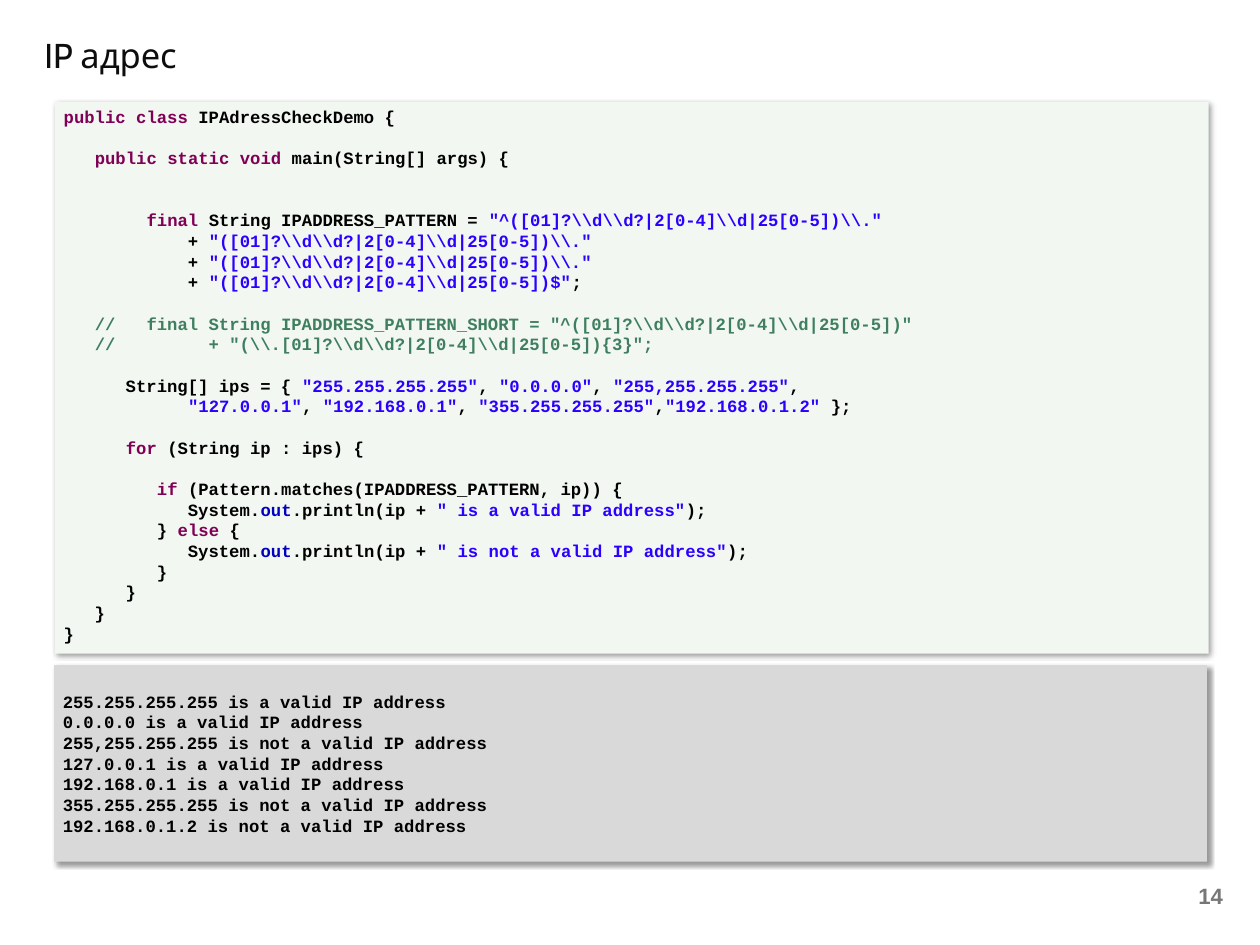
from itertools import groupby

from lxml import etree
from pptx import Presentation
from pptx.dml.color import RGBColor
from pptx.enum.shapes import MSO_SHAPE
from pptx.enum.text import MSO_ANCHOR, PP_ALIGN
from pptx.oxml.ns import qn
from pptx.util import Inches, Pt

RECT = MSO_SHAPE.RECTANGLE
TOP, MIDDLE = MSO_ANCHOR.TOP, MSO_ANCHOR.MIDDLE
LEFT, RIGHT = PP_ALIGN.LEFT, PP_ALIGN.RIGHT
MONO = "Courier New"
COLORS = {
    "title": "0D0D0D", "number": "777777", "plain": "000000",
    "keyword": "7F0055", "string": "2A00FF", "comment": "3F7F5F",
    "field": "0000C0", "code": "F2F7F2", "output": "D9D9D9",
}
WORDS = dict.fromkeys("public class static void final for if else".split(), "keyword")
WORDS["out"] = "field"

CODE = [
    'public class IPAdressCheckDemo {',
    '',
    '   public static void main(String[] args) {',
    '',
    '',
    r'        final String IPADDRESS_PATTERN = "^([01]?\\d\\d?|2[0-4]\\d|25[0-5])\\."',
    *[r'            + "([01]?\\d\\d?|2[0-4]\\d|25[0-5])\\."'] * 2,
    r'            + "([01]?\\d\\d?|2[0-4]\\d|25[0-5])$";',
    '',
    r'   //   final String IPADDRESS_PATTERN_SHORT = "^([01]?\\d\\d?|2[0-4]\\d|25[0-5])"',
    r'   //         + "(\\.[01]?\\d\\d?|2[0-4]\\d|25[0-5]){3}";',
    '',
    '      String[] ips = { "255.255.255.255", "0.0.0.0", "255,255.255.255",',
    '            "127.0.0.1", "192.168.0.1", "355.255.255.255","192.168.0.1.2" };',
    '',
    '      for (String ip : ips) {',
    '',
    '         if (Pattern.matches(IPADDRESS_PATTERN, ip)) {',
    '            System.out.println(ip + " is a valid IP address");',
    '         } else {',
    '            System.out.println(ip + " is not a valid IP address");',
    '         }',
    '      }',
    '   }',
    '}',
]

OUTPUT = [
    "255.255.255.255 is a valid IP address",
    "0.0.0.0 is a valid IP address",
    "255,255.255.255 is not a valid IP address",
    "127.0.0.1 is a valid IP address",
    "192.168.0.1 is a valid IP address",
    "355.255.255.255 is not a valid IP address",
    "192.168.0.1.2 is not a valid IP address",
]


def color(name):
    """Return the named colour."""
    return RGBColor.from_string(COLORS[name])


def style(run, face, size, name, bold):
    """Format one run."""
    font = run.font
    font.name, font.size, font.bold = face, Pt(size), bold
    font.color.rgb = color(name)


def tokens(line):
    """Split a line of Java into pairs of text and colour name."""
    body, mark, note = line.partition("//")
    pairs = []
    for i, part in enumerate(body.split('"')):
        if i % 2:
            pairs.append((f'"{part}"', "string"))
            continue
        for _, chars in groupby(part, str.isalnum):
            word = "".join(chars)
            pairs.append((word, WORDS.get(word, "plain")))
    if mark:
        pairs.append((mark + note, "comment"))
    return pairs


def shade(shape):
    """Give a shape a soft shadow to the lower right."""
    shape.shadow.inherit = False
    effects = shape._element.spPr.find(qn("a:effectLst"))
    outer = etree.SubElement(effects, qn("a:outerShdw"), blurRad=str(Pt(4)),
                             dist=str(Pt(3)), dir="2700000", algn="tl", rotWithShape="0")
    tint = etree.SubElement(outer, qn("a:srgbClr"), val="000000")
    etree.SubElement(tint, qn("a:alpha"), val="40000")


def panel(slide, box, fill, lines, inset=0.05):
    """Draw a shaded panel with lines of coloured monospaced text."""
    shape = slide.shapes.add_shape(RECT, *map(Inches, box))
    shape.fill.solid()
    shape.fill.fore_color.rgb = color(fill)
    shape.line.fill.background()
    shade(shape)
    frame = shape.text_frame
    frame.word_wrap = True
    frame.vertical_anchor = TOP
    frame.margin_top = Inches(inset)
    for i, pairs in enumerate(lines):
        para = frame.add_paragraph() if i else frame.paragraphs[0]
        para.alignment = LEFT
        para.line_spacing = Pt(16.8)
        para.font.size = Pt(14)
        for text, name in pairs:
            run = para.add_run()
            run.text = text
            style(run, MONO, 14, name, True)


def label(shape, box, text, face, size, name, bold, align):
    """Place a one-line text in its box."""
    shape.left, shape.top, shape.width, shape.height = map(Inches, box)
    frame = shape.text_frame
    frame.text = text
    frame.word_wrap = True
    frame.vertical_anchor = MIDDLE
    para = frame.paragraphs[0]
    para.alignment = align
    style(para.runs[0], face, size, name, bold)


def main():
    """Build the slide."""
    deck = Presentation()
    deck.slide_width, deck.slide_height = Inches(14.22), Inches(10.67)
    slide = deck.slides.add_slide(deck.slide_layouts[5])
    label(slide.shapes.title, (0.4, 0.3, 11.03, 0.63), "IP адрес",
          "Cabin", 28, "title", False, LEFT)
    panel(slide, (0.62, 1.15, 13.02, 6.23), "code", map(tokens, CODE))
    results = [[(line, "plain")] for line in OUTPUT]
    panel(slide, (0.61, 7.51, 13.01, 2.22), "output", results, 0.29)
    number = slide.shapes.add_textbox(0, 0, 0, 0)
    label(number, (10.58, 9.85, 3.32, 0.53), "14", "Arial", 18, "number", True, RIGHT)
    deck.save("out.pptx")


if __name__ == "__main__":
    main()
